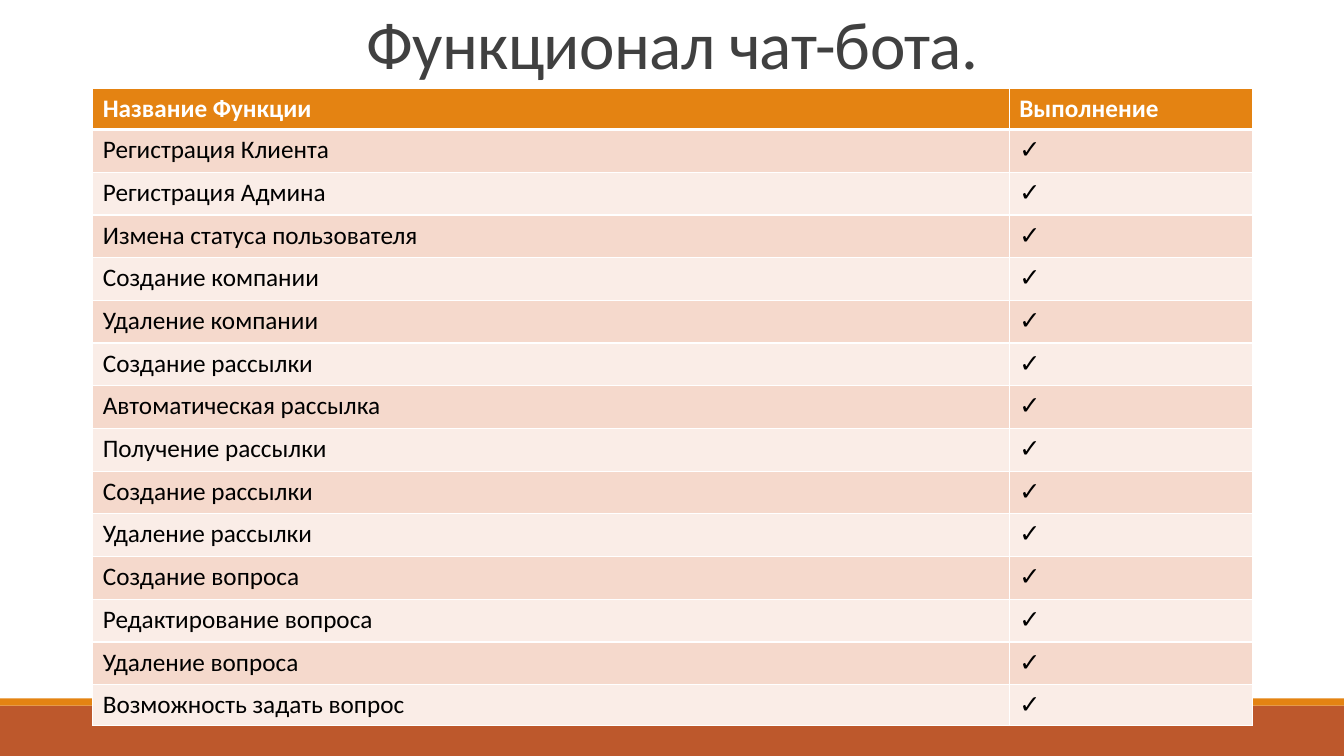
from typing import NamedTuple

from lxml.etree import SubElement
from pptx import Presentation
from pptx.dml.color import RGBColor
from pptx.enum.shapes import MSO_SHAPE
from pptx.enum.text import MSO_ANCHOR, MSO_AUTO_SIZE, PP_ALIGN
from pptx.oxml.ns import qn
from pptx.slide import Slide
from pptx.table import _Cell
from pptx.text.text import _Paragraph, _Run
from pptx.util import Inches, Pt

FONT = "Calibri"
COLORS = {
    "white": "FFFFFF",
    "black": "000000",
    "title": "404040",
    "orange": "E48312",
    "rust": "BD582C",
    "odd_row": "F5D9CC",
    "even_row": "FAEDE7",
}
LEFT, WIDTH = 0.92, 11.5
TITLE_HEIGHT = 0.88
TABLE_HEIGHT = 6.31
EDGE_ROW_HEIGHT = 0.4
COLUMN_WIDTHS = (9.09, 2.41)

HEADINGS = ("Название Функции", "Выполнение")
DONE = "✓"
FUNCTIONS = (
    "Регистрация Клиента",
    "Регистрация Админа",
    "Измена статуса пользователя",
    "Создание компании",
    "Удаление компании",
    "Создание рассылки",
    "Автоматическая рассылка",
    "Получение рассылки",
    "Создание рассылки",
    "Удаление рассылки",
    "Создание вопроса",
    "Редактирование вопроса",
    "Удаление вопроса",
    "Возможность задать вопрос",
)


class Band(NamedTuple):
    top: float
    height: float
    color: str


class RowStyle(NamedTuple):
    fill: str
    text: str
    bold: bool
    top_border: float
    bottom_border: float


FOOTER_BANDS = (Band(7, 0.5, "rust"), Band(6.93, 0.07, "orange"))
HEADER_STYLE = RowStyle("orange", "white", True, 1, 3)
FIRST_STYLE = RowStyle("odd_row", "black", False, 3, 1)
ODD_STYLE = RowStyle("odd_row", "black", False, 1, 1)
EVEN_STYLE = RowStyle("even_row", "black", False, 1, 1)


def rgb(name: str) -> RGBColor:
    return RGBColor.from_string(COLORS[name])


def add_run(paragraph: _Paragraph, text: str, size: float, color: str, bold: bool = False) -> _Run:
    run = paragraph.add_run()
    run.text = text
    run.font.name = FONT
    run.font.size = Pt(size)
    run.font.bold = bold
    run.font.color.rgb = rgb(color)
    return run


def add_band(slide: Slide, band: Band, width: int) -> None:
    shape = slide.shapes.add_shape(
        MSO_SHAPE.RECTANGLE, 0, Inches(band.top), width, Inches(band.height)
    )
    shape.shadow.inherit = False
    shape.fill.solid()
    shape.fill.fore_color.rgb = rgb(band.color)
    shape.line.fill.background()


def format_title(slide: Slide, text: str) -> None:
    title = slide.shapes.title
    title.left, title.top = Inches(LEFT), 0
    title.width, title.height = Inches(WIDTH), Inches(TITLE_HEIGHT)
    frame = title.text_frame
    frame.word_wrap = True
    frame.auto_size = MSO_AUTO_SIZE.NONE
    frame.vertical_anchor = MSO_ANCHOR.BOTTOM
    paragraph = frame.paragraphs[0]
    paragraph.alignment = PP_ALIGN.CENTER
    paragraph.line_spacing = 0.85
    run = add_run(paragraph, text, 48, "title")
    run.font._element.set("spc", "-50")


def set_borders(cell: _Cell, style: RowStyle) -> None:
    """Draw white cell borders; they must precede the fill in the cell's XML."""
    properties = cell._tc.get_or_add_tcPr()
    widths = {"L": 1, "R": 1, "T": style.top_border, "B": style.bottom_border}
    for side, width in widths.items():
        line = SubElement(properties, qn(f"a:ln{side}"), w=str(Pt(width)))
        fill = SubElement(line, qn("a:solidFill"))
        SubElement(fill, qn("a:srgbClr"), val=COLORS["white"])


def fill_cell(cell: _Cell, text: str, style: RowStyle) -> None:
    set_borders(cell, style)
    cell.fill.solid()
    cell.fill.fore_color.rgb = rgb(style.fill)
    add_run(cell.text_frame.paragraphs[0], text, 18, style.text, style.bold)


def row_style(index: int) -> RowStyle:
    if index == 0:
        return HEADER_STYLE
    if index == 1:
        return FIRST_STYLE
    return ODD_STYLE if index % 2 else EVEN_STYLE


def add_function_table(slide: Slide) -> None:
    rows = [HEADINGS, *((name, DONE) for name in FUNCTIONS)]
    table = slide.shapes.add_table(
        len(rows), len(HEADINGS),
        Inches(LEFT), Inches(TITLE_HEIGHT), Inches(WIDTH), Inches(TABLE_HEIGHT),
    ).table
    for column, width in zip(table.columns, COLUMN_WIDTHS):
        column.width = Inches(width)
    last = len(rows) - 1
    inner_height = (TABLE_HEIGHT - 2 * EDGE_ROW_HEIGHT) / (last - 1)
    for row_index, texts in enumerate(rows):
        is_edge = row_index in (0, last)
        table.rows[row_index].height = Inches(EDGE_ROW_HEIGHT if is_edge else inner_height)
        for column_index, text in enumerate(texts):
            fill_cell(table.cell(row_index, column_index), text, row_style(row_index))


def main() -> None:
    presentation = Presentation()
    presentation.slide_width = Inches(13.33)
    presentation.slide_height = Inches(7.5)
    slide = presentation.slides.add_slide(presentation.slide_layouts.get_by_name("Title Only"))
    for band in FOOTER_BANDS:
        add_band(slide, band, presentation.slide_width)
    format_title(slide, "Функционал чат-бота.")
    add_function_table(slide)
    presentation.save("out.pptx")


if __name__ == "__main__":
    main()
